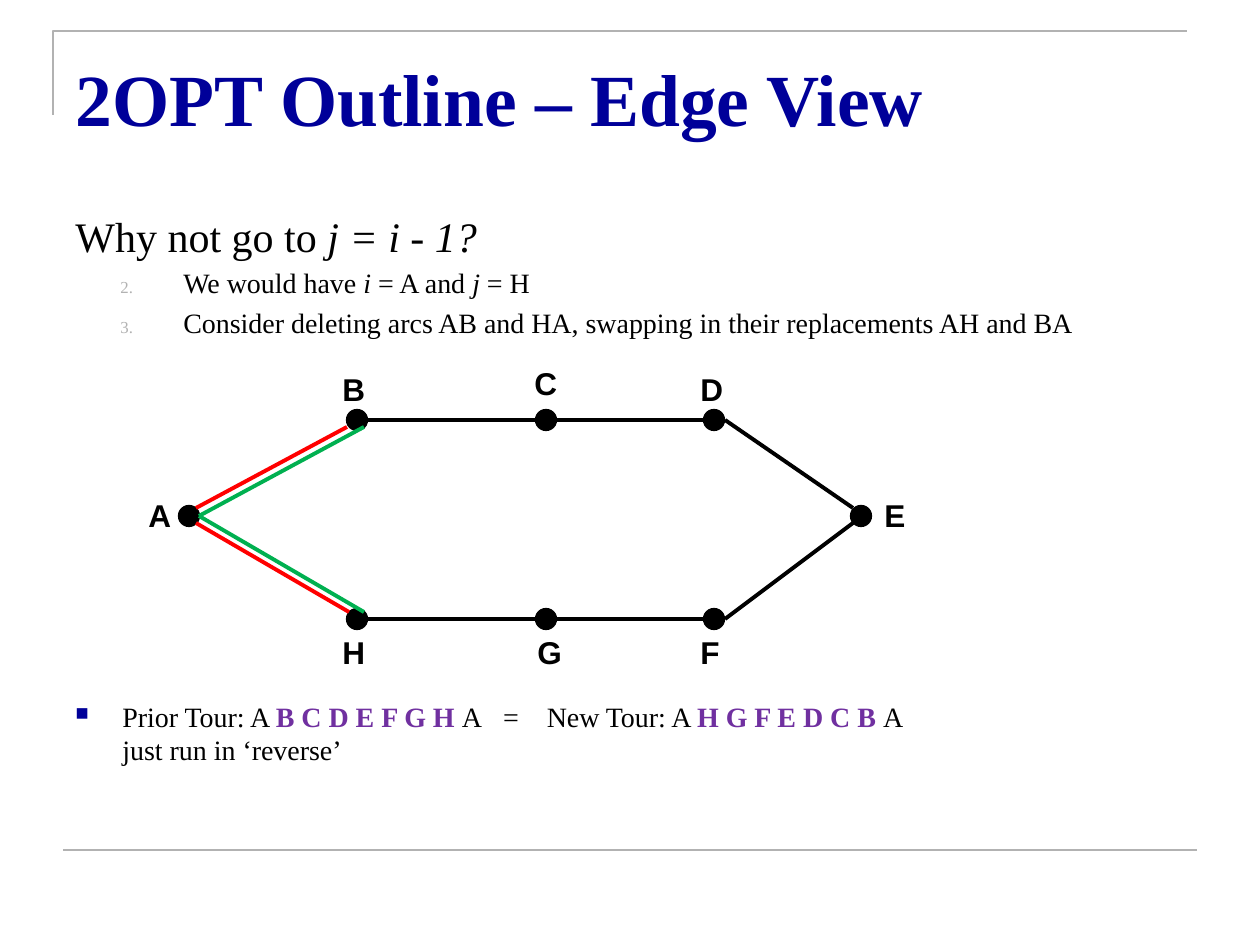
import pptx
import pptx.util
import pptx.dml.color
import pptx.enum.shapes
import pptx.enum.text
import pptx.oxml.ns
import lxml.etree

SCALE = 914400 / 126  # EMU in one px
COLORS = {"rule": "B2B2B2", "title": "000099", "ink": "000000",
          "tour": "7030A0", "deleted": "FF0000", "added": "00B050"}
rgb = {name: pptx.dml.color.RGBColor.from_string(value) for name, value in COLORS.items()}
qn = pptx.oxml.ns.qn

deck = pptx.Presentation()
deck.slide_width, deck.slide_height = (round(n * SCALE) for n in (1260, 945))
slide = deck.slides.add_slide(deck.slide_layouts[6])


def add_line(start, end, color, width):
    ends = [round(n * SCALE) for n in (*start, *end)]
    line = slide.shapes.add_connector(pptx.enum.shapes.MSO_CONNECTOR.STRAIGHT, *ends)
    line.line.color.rgb = rgb[color]
    line.line.width = pptx.util.Pt(width)
    lxml.etree.SubElement(line._element.spPr, qn("a:effectLst"))


def add_text(box, runs, top_inset=6, font_name="Times New Roman"):
    """Add a text box whose first paragraph holds runs of (text, color, format)."""
    frame = slide.shapes.add_textbox(*(round(n * SCALE) for n in box)).text_frame
    frame.word_wrap = True
    frame.margin_top = round(top_inset * SCALE)
    for text, color, look in runs:
        run = frame.paragraphs[0].add_run()
        run.text = text
        run.font.color.rgb = rgb[color]
        for name, value in {"name": font_name, **look}.items():
            setattr(run.font, name, value)
    return frame


# Frame rules
corner = slide.shapes.build_freeform(53, 115, scale=SCALE)
corner.add_line_segments([(53, 31), (1187, 31)], close=False)
corner = corner.convert_to_shape()
corner.shadow.inherit = False
corner.fill.background()
corner.line.color.rgb = rgb["rule"]
corner.line.width = pptx.util.Pt(1.5)
add_line((63, 850), (1197, 850), "rule", 1.5)

# Title
add_text((63, 38, 1134, 157),
         [("2OPT Outline – Edge View", "title", {"size": pptx.util.Pt(42), "bold": True})], 15)

# Question, numbered steps and tour comparison
large = {"size": pptx.util.Pt(24)}
body = add_text((63, 198, 1176, 624),
                [("Why not go to ", "ink", large),
                 ("j = i - 1?", "ink", {**large, "italic": True})], 12)
plain, italic, bold = {}, {"italic": True}, {"bold": True}
step = {"left": 108, "hang": 63, "level": 1, "color": "rule", "size": "60000",
        "mark": ("a:buAutoNum", {"type": "arabicPeriod", "startAt": "2"})}
square = {"left": 47, "hang": 47, "level": 0, "color": "title", "size": "65000",
          "mark": ("a:buChar", {"char": "■"})}
paragraphs = [
    (step, 3.2, [("We would have ", "ink", plain), ("i ", "ink", italic),
                 ("= A and ", "ink", plain), ("j ", "ink", italic), ("= H", "ink", plain)]),
    (step, 3.2, [("Consider deleting arcs AB and HA, swapping in their replacements AH and BA",
                  "ink", plain)]),
    (square, 206, [("Prior Tour: A ", "ink", plain), ("B C D E F G H ", "tour", bold),
                   ("A", "ink", plain), (" ", "ink", {"spacing": "800"}),
                   ("=", "ink", plain), (" ", "ink", {"spacing": "1200"}),
                   ("New Tour: A ", "ink", plain), ("H G F E D C B ", "tour", bold),
                   ("A ", "ink", plain), ("\v", "ink", plain),
                   ("just run in ‘reverse’", "ink", plain)]),
]
for bullet, gap, runs in paragraphs:
    paragraph = body.add_paragraph()
    paragraph.level = bullet["level"]
    props = paragraph._p.get_or_add_pPr()
    props.set("marL", str(round(bullet["left"] * SCALE)))
    props.set("indent", str(round(-bullet["hang"] * SCALE)))
    bullet_color = lxml.etree.SubElement(props, qn("a:buClr"))
    lxml.etree.SubElement(bullet_color, qn("a:srgbClr"), val=COLORS[bullet["color"]])
    lxml.etree.SubElement(props, qn("a:buSzPct"), val=bullet["size"])
    tag, settings = bullet["mark"]
    lxml.etree.SubElement(props, qn(tag), settings)
    paragraph.space_before = pptx.util.Pt(gap)
    paragraph.font.size = pptx.util.Pt(16)
    for text, color, look in runs:
        if text == "\v":
            paragraph.add_line_break()
            continue
        run = paragraph.add_run()
        run.text = text
        run.font.color.rgb = rgb[color]
        formats = {"name": "Times New Roman", "size": pptx.util.Pt(16), **look}
        spacing = formats.pop("spacing", None)
        if spacing:
            run._r.get_or_add_rPr().set("spc", spacing)
        for name, value in formats.items():
            setattr(run.font, name, value)

# Tour nodes: centre, then the corner of the label
DIAMETER = 21
nodes = {
    "A": ((189, 516), (136, 490)), "B": ((357, 420), (330, 364)),
    "C": ((546, 420), (522, 358)), "D": ((714, 420), (688, 364)),
    "E": ((861, 516), (872, 490)), "F": ((714, 619), (688, 627)),
    "G": ((546, 619), (525, 627)), "H": ((357, 619), (330, 627)),
}
for letter, ((x, y), corner_at) in nodes.items():
    box = (x - DIAMETER / 2, y - DIAMETER / 2, DIAMETER, DIAMETER)
    node = slide.shapes.add_shape(pptx.enum.shapes.MSO_SHAPE.OVAL,
                                  *(round(n * SCALE) for n in box))
    node.shadow.inherit = False
    node.fill.solid()
    node.fill.fore_color.rgb = node.line.color.rgb = rgb["ink"]
    node.line.width = pptx.util.Pt(0.75)
    label = add_text((*corner_at, 53, 50),
                     [(letter, "ink", {"size": pptx.util.Pt(18), "bold": True})],
                     font_name="Arial")
    label.auto_size = pptx.enum.text.MSO_AUTO_SIZE.SHAPE_TO_FIT_TEXT

# Kept, deleted and added edges
edges = {
    "ink": [((x1, y), (x2, y)) for y in (420, 619) for x1, x2 in ((368, 535), (557, 703))]
           + [((725, 420), (853, 508)), ((725, 619), (853, 523))],
    "deleted": [((196, 508), (347, 427)), ((196, 523), (349, 612))],
    "added": [((199, 516), (364, 612)), ((364, 427), (199, 516))],
}
for color, spans in edges.items():
    for start, end in spans:
        add_line(start, end, color, 2.25)

deck.save("out.pptx")
